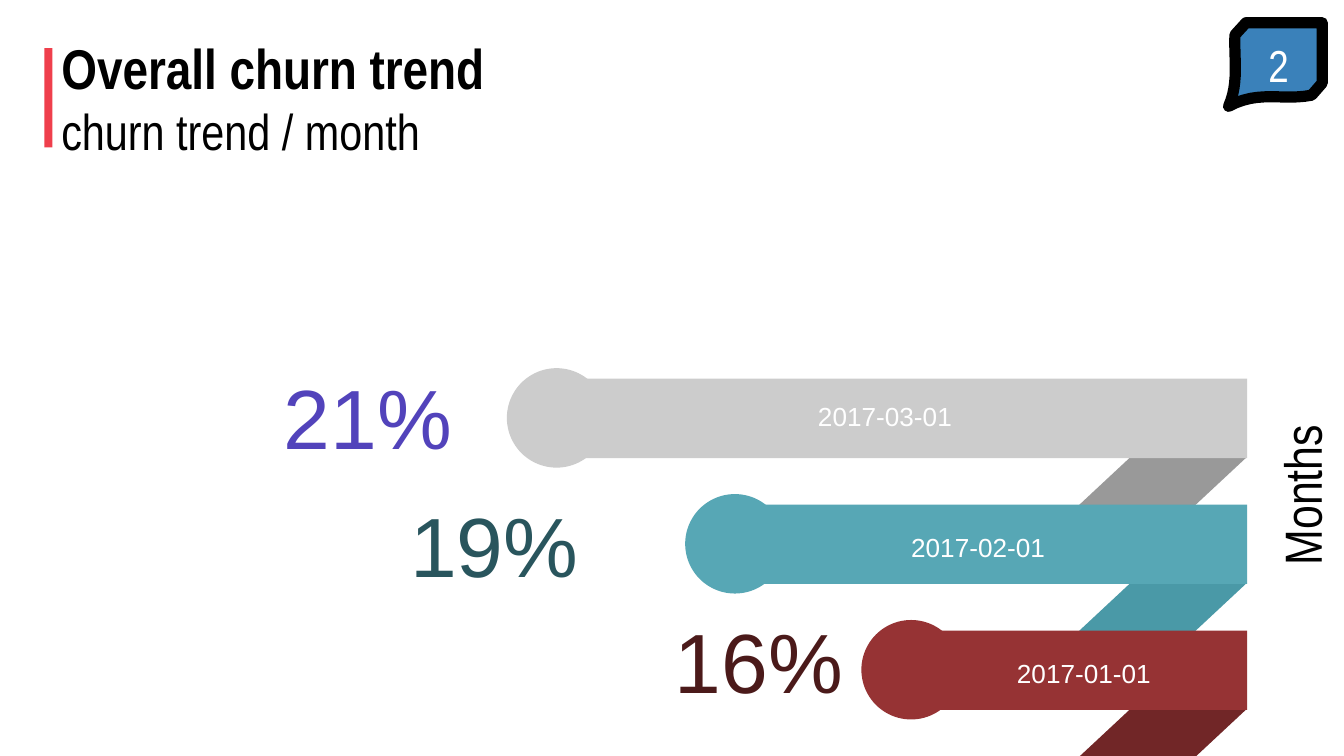
"""Build the overall churn trend slide."""
from dataclasses import dataclass

from pptx import Presentation
from pptx import util as u
from pptx.dml.color import RGBColor
from pptx.enum import shapes, text
from pptx.oxml.ns import qn


@dataclass(frozen=True)
class Theme:
    ink: str = "000000"
    white: str = "FFFFFF"
    accent: str = "EF3F4C"
    badge: str = "3A81BA"
    narrow: str = "Arial Narrow"
    regular: str = "Arial"
    title: int = 30
    subtitle: int = 27
    axis: int = 28
    figure: int = 45
    number: int = 24
    date: int = 14


@dataclass(frozen=True)
class Month:
    date: str
    date_at: tuple
    rate: str
    rate_box: tuple
    rate_color: str
    bar_left: float
    knob_left: float
    color: str
    fold_color: str


MONTHS = [
    Month("2017-03-01", (15.21, 7.44), "21%", (3.66, 6.78, 5.13, 2.18), "5243BB",
          10.8, 9.58, "CCCCCC", "999999"),
    Month("2017-02-01", (16.97, 9.91), "19%", (4.65, 9.19, 6.53, 2.18), "29555D",
          14.38, 12.95, "57A7B5", "4A99A7"),
    Month("2017-01-01", (18.97, 12.29), "16%", (11.07, 11.4, 5.11, 2.18), "4B1A1A",
          17.65, 16.28, "963334", "712627"),
]
BAR_TOP, BAR_PITCH, BAR_HEIGHT, BAR_RIGHT = 7.16, 2.38, 1.5, 23.57
KNOB_SIZE = 1.88


def curve(start, pull, push, end, steps=12):
    """Return points along a cubic curve, without its start."""
    return [
        tuple((1 - t) ** 3 * a + 3 * (1 - t) ** 2 * t * b + 3 * (1 - t) * t ** 2 * c + t ** 3 * d
              for a, b, c, d in zip(start, pull, push, end))
        for t in (step / steps for step in range(1, steps + 1))
    ]


class Painter:
    def __init__(self, page, theme):
        self.page = page
        self.theme = theme

    def paint(self, shape, color):
        shape.shadow.inherit = False
        shape.fill.solid()
        shape.fill.fore_color.rgb = RGBColor.from_string(color)
        shape.line.fill.background()

    def block(self, kind, box, color, parent=None, rotation=0):
        owner = parent or self.page
        shape = owner.shapes.add_shape(kind, *map(u.Cm, box))
        shape.rotation = rotation
        self.paint(shape, color)

    def ribbon(self, month, top):
        group = self.page.shapes.add_group_shape()
        kinds = shapes.MSO_SHAPE
        self.block(kinds.RECTANGLE, (20.04, top + 1.37, 3.48, BAR_HEIGHT),
                   month.fold_color, group, 317)
        self.block(kinds.RECTANGLE, (month.bar_left, top, BAR_RIGHT - month.bar_left, BAR_HEIGHT),
                   month.color, group)
        self.block(kinds.OVAL, (month.knob_left, top - 0.2, KNOB_SIZE, KNOB_SIZE),
                   month.color, group)

    def label(self, words, box, size, color=None, face=None, bold=False, align="LEFT",
              anchor="TOP", inset=0.13, rotation=0):
        shape = self.page.shapes.add_textbox(*map(u.Cm, box))
        shape.rotation = rotation
        frame = shape.text_frame
        frame.word_wrap = True
        frame.vertical_anchor = getattr(text.MSO_ANCHOR, anchor)
        frame.margin_left = frame.margin_right = u.Cm(0.25)
        frame.margin_top = frame.margin_bottom = u.Cm(inset)
        para = frame.paragraphs[0]
        para.alignment = getattr(text.PP_ALIGN, align)
        span = para.add_run()
        span.text = words
        span.font.name = face or self.theme.narrow
        span.font.size = u.Pt(size)
        span.font.bold = bold
        span.font.color.rgb = RGBColor.from_string(color or self.theme.ink)

    def badge(self):
        tail = (23.22, 2.01)
        corner = (23.34, 0.66)
        points = curve(tail, (23.8, 1.7), (24.23, 1.91), (24.79, 1.8))
        points += [(24.99, 1.57), (24.99, 0.43), (23.55, 0.43), corner]
        points += curve(corner, (23.32, 1.09), (23.42, 1.57), tail)
        builder = self.page.shapes.build_freeform(*map(u.Cm, tail))
        builder.add_line_segments([(u.Cm(x), u.Cm(y)) for x, y in points], close=True)
        shape = builder.convert_to_shape()
        self.paint(shape, self.theme.badge)
        shape.line.color.rgb = RGBColor.from_string(self.theme.ink)
        shape.line.width = u.Pt(6)
        outline = shape.line._get_or_add_ln()
        outline.append(outline.makeelement(qn("a:round"), {}))


def main():
    theme = Theme()
    deck = Presentation()
    deck.slide_width, deck.slide_height = u.Cm(25.4), u.Cm(14.29)
    page = deck.slides.add_slide(deck.slide_layouts[6])
    painter = Painter(page, theme)

    painter.block(shapes.MSO_SHAPE.RECTANGLE, (0.84, 0.91, 0.15, 1.88), theme.accent)
    for row, month in enumerate(MONTHS):
        painter.ribbon(month, BAR_TOP + row * BAR_PITCH)

    painter.label("Overall churn trend", (0.91, 0.76, 18.14, 1.4), theme.title,
                  bold=True, anchor="BOTTOM", inset=0.25)
    painter.label("churn trend / month", (0.91, 1.65, 18.14, 1.35), theme.subtitle, inset=0.25)
    painter.label("Months", (21.01, 6.63, 7.16, 1.45), theme.axis, rotation=270)
    for month in MONTHS:
        painter.label(month.rate, month.rate_box, theme.figure, month.rate_color,
                      theme.regular, align="RIGHT")
        painter.label(month.date, (*month.date_at, 5.92, 0.86), theme.date, theme.white,
                      theme.regular)

    painter.badge()
    painter.label("2", (23.72, 0.58, 1.24, 1.27), theme.number, theme.white)
    deck.save("out.pptx")


if __name__ == "__main__":
    main()
